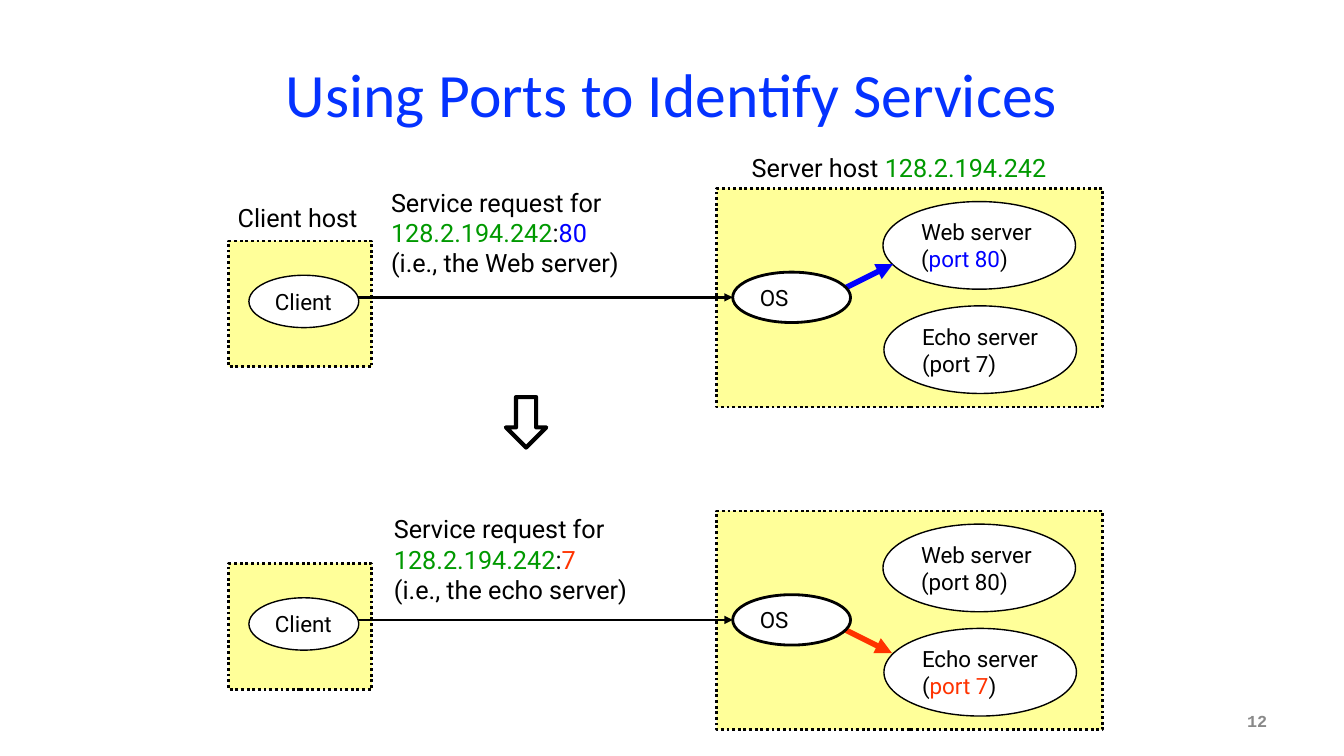
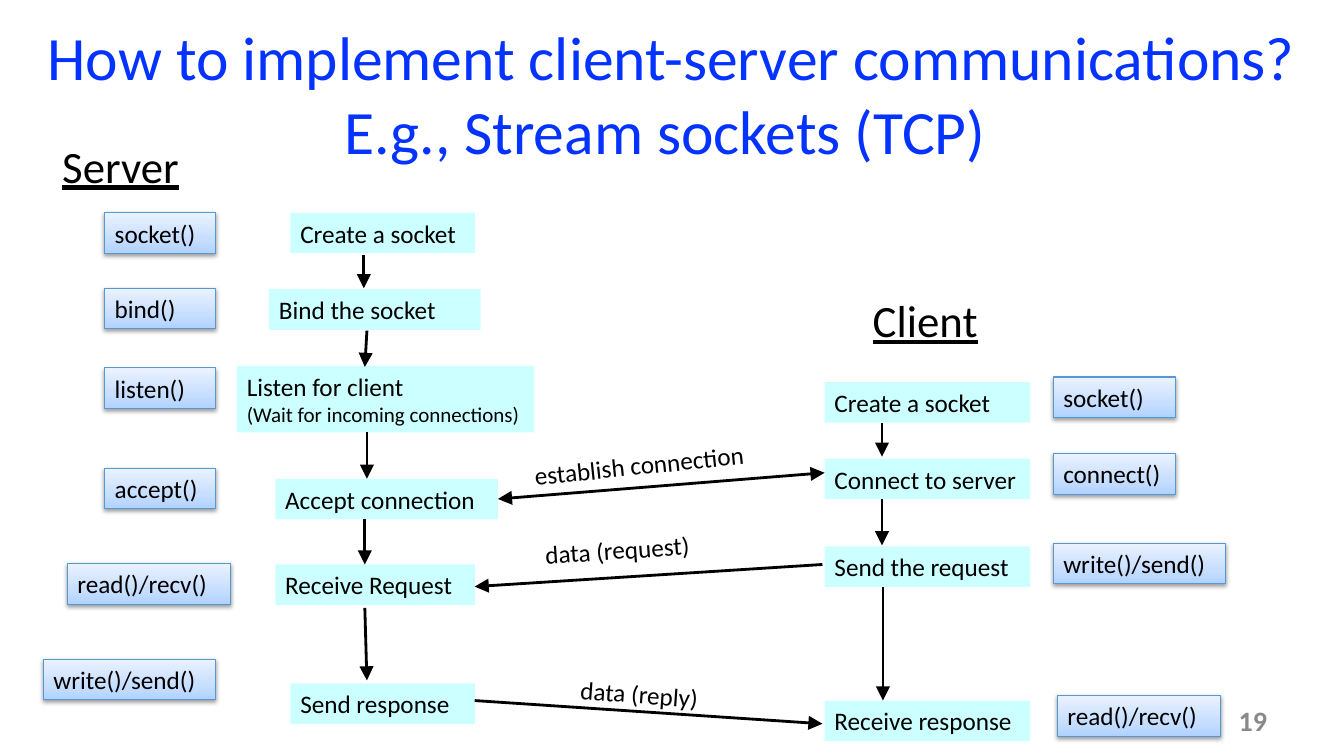
"""Build two slides on ports and stream sockets."""
import pptx
import pptx.dml.color
import pptx.enum.dml
import pptx.enum.shapes
import pptx.enum.text
import pptx.oxml.ns
import pptx.util
from lxml import etree

Pt = pptx.util.Pt
RGBColor = pptx.dml.color.RGBColor
MSO_SHAPE = pptx.enum.shapes.MSO_SHAPE
PP_ALIGN = pptx.enum.text.PP_ALIGN
qn = pptx.oxml.ns.qn

BLACK = RGBColor(0x00, 0x00, 0x00)
WHITE = RGBColor(0xFF, 0xFF, 0xFF)
TITLE_BLUE = RGBColor(0x04, 0x32, 0xFF)
GRAY = RGBColor(0x89, 0x89, 0x89)
YELLOW = RGBColor(0xFF, 0xFF, 0x99)
GREEN = RGBColor(0x00, 0x99, 0x00)
BLUE = RGBColor(0x00, 0x00, 0xFF)
RED = RGBColor(0xFF, 0x33, 0x00)
CYAN = RGBColor(0xCC, 0xFF, 0xFF)
CALL_EDGE = RGBColor(0x56, 0x98, 0xD3)
CALL_STOPS = [
    (0, RGBColor(0xB0, 0xD2, 0xFF)),
    (35000, RGBColor(0xC7, 0xDE, 0xFF)),
    (100000, RGBColor(0xEA, 0xF2, 0xFF)),
]


def add_box(slide, kind, at, paras=(), size=18, font="Calibri", fill=None, line=None, width=1):
    """Add a shape, or a text box if kind is None; a paragraph is a string or (text, colour) runs."""
    at = [Pt(v) for v in at]
    if kind is None:
        sp = slide.shapes.add_textbox(*at)
    else:
        sp = slide.shapes.add_shape(kind, *at)
        sp.shadow.inherit = False
        if fill is None:
            sp.fill.background()
        else:
            sp.fill.solid()
            sp.fill.fore_color.rgb = fill
        if line is None:
            sp.line.fill.background()
        else:
            sp.line.color.rgb = line
            sp.line.width = Pt(width)
    tf = sp.text_frame
    tf.word_wrap = False
    tf.vertical_anchor = pptx.enum.text.MSO_ANCHOR.MIDDLE
    for i, para in enumerate(paras):
        p = tf.add_paragraph() if i else tf.paragraphs[0]
        p.alignment = PP_ALIGN.LEFT
        for text, color in [(para, BLACK)] if isinstance(para, str) else para:
            r = p.add_run()
            r.text = text
            r.font.size = Pt(size)
            r.font.name = font
            r.font.color.rgb = color
    return sp


def add_arrow(slide, x1, y1, x2, y2, color=BLACK, width=2, head="med", ends=("tailEnd",)):
    """Add a straight arrow with the given arrowheads."""
    cx = slide.shapes.add_connector(
        pptx.enum.shapes.MSO_CONNECTOR.STRAIGHT, Pt(x1), Pt(y1), Pt(x2), Pt(y2))
    cx.line.color.rgb = color
    cx.line.width = Pt(width)
    ln = cx.line._get_or_add_ln()
    for end in ends:
        etree.SubElement(ln, qn("a:" + end), type="triangle", w=head, len=head)
    etree.SubElement(cx._element.spPr, qn("a:effectLst"))


prs = pptx.Presentation()
prs.slide_width = Pt(960)
prs.slide_height = Pt(540)

slides = []
for title, left, number, font, size in [
    (["Using Ports to Identify Services"], 48, "12", "Courier New", 12),
    (["How to implement client-server communications?", "E.g., Stream sockets (TCP)\t"],
     0, "19", "Calibri", 20),
]:
    slide = prs.slides.add_slide(prs.slide_layouts[6])
    sp = add_box(slide, None, (left, 21.6, 960 - 2 * left, 90),
                 [[(text, TITLE_BLUE)] for text in title], 44)
    sp.text_frame.word_wrap = True
    for p in sp.text_frame.paragraphs:
        p.alignment = PP_ALIGN.CENTER
    sp = add_box(slide, None, (688.3, 500.4, 223.9, 28.8), [[(number, GRAY)]], size, font)
    p = sp.text_frame.paragraphs[0]
    p.alignment = PP_ALIGN.RIGHT
    p.runs[0].font.bold = True
    slides.append(slide)
ports, sockets = slides

ADDRESS = "128.2.194.242"
for dy, text_at, port, color, service, web, echo, to_service in [
    (0, (272.2, 129.6), "80", BLUE, "Web", [("(", BLACK), ("port 80", BLUE), (")", BLACK)],
     "(port 7)", (601.9, 206.6, 637.9, 188.6)),
    (230.4, (274.3, 362.9), "7", RED, "echo", "(port 80)",
     [("(", BLACK), ("port 7", RED), (")", BLACK)], (601.2, 448.6, 637.2, 466.6)),
]:
    for at in [(163.4, 172.1 + dy, 102.2, 90), (511.9, 134.6 + dy, 275.8, 156.2)]:
        sp = add_box(ports, MSO_SHAPE.RECTANGLE, at, fill=YELLOW, line=BLACK, width=2)
        sp.line.dash_style = pptx.enum.dml.MSO_LINE.ROUND_DOT
    add_box(ports, None, (*text_at, 231, 72.7),
            ["Service request for", [(ADDRESS, GREEN), (":", BLACK), (port, color)],
             f"(i.e., the {service} server)"], font="Roboto")
    add_arrow(ports, 253.4, 212.4 + dy, 523.4, 212.4 + dy)
    for at, paras, width in [
        ((630.7, 144 + dy, 137.5, 62.6), ["Web server", web], 1),
        ((631.4, 218.5 + dy, 137.5, 62.6), ["Echo server", echo], 1),
        ((177.8, 196.6 + dy, 78.5, 37.4), ["Client"], 1),
    ]:
        add_box(ports, MSO_SHAPE.OVAL, at, paras, 16, "Roboto", WHITE, BLACK, width)
    add_arrow(ports, *to_service, color, 4)
    add_box(ports, MSO_SHAPE.OVAL, (523.4, 194.4 + dy, 84.2, 36), ["OS"], 16, "Roboto",
            WHITE, BLACK, 2)

add_box(ports, None, (162.7, 141.1, 100, 28.8), ["Client host"], font="Roboto")
add_box(ports, None, (529.9, 105.1, 233.3, 28.8),
        [[("Server host ", BLACK), (ADDRESS, GREEN)]], font="Roboto")
add_box(ports, MSO_SHAPE.DOWN_ARROW, (361.4, 283.7, 28.8, 36), line=BLACK, width=3)

for text, x, y, w in [("Server", 37.4, 95, 98.6), ("Client", 616.3, 205.2, 90)]:
    sp = add_box(sockets, None, (x, y, w, 46), [text], 32)
    sp.text_frame.paragraphs[0].runs[0].font.underline = True

for text, x, y, w in [
    ("Create a socket", 207.4, 151.9, 131.8),
    ("Bind the socket", 192.2, 206.6, 151.2),
    ("Accept connection", 196.6, 342, 159.1),
    ("Receive Request", 196.6, 403.2, 142.6),
    ("Send response", 207.4, 488.2, 131.8),
    ("Create a socket", 589, 272.9, 146.9),
    ("Connect to server", 589, 327.6, 146.9),
    ("Send the request", 589, 390.2, 146.9),
    ("Receive response", 589, 500.4, 146.9),
]:
    add_box(sockets, MSO_SHAPE.RECTANGLE, (x, y, w, 29), [text], fill=CYAN)
sp = add_box(sockets, MSO_SHAPE.RECTANGLE, (169.2, 261.4, 212.4, 47.5),
             ["Listen for client", "(Wait for incoming connections)"], fill=CYAN)
sp.text_frame.paragraphs[1].runs[0].font.size = Pt(15)

for text, x, y, w in [
    ("socket()", 74.9, 151.9, 79.2),
    ("bind()", 74.9, 205.9, 79.2),
    ("listen()", 74.9, 262.8, 79.2),
    ("accept()", 74.9, 334.4, 79.2),
    ("read()/recv()", 48.2, 402.5, 116.6),
    ("write()/send()", 31, 470.9, 123.1),
    ("socket()", 752.4, 269.3, 87.1),
    ("connect()", 752.4, 324, 87.1),
    ("write()/send()", 752.4, 388.1, 123.1),
    ("read()/recv()", 755.3, 496.8, 116.6),
]:
    sp = add_box(sockets, MSO_SHAPE.RECTANGLE, (x, y, w, 29), [text], line=CALL_EDGE, width=0.75)
    sp.fill.gradient()
    sp.fill.gradient_angle = 90
    spPr = sp._element.spPr
    stops = spPr.find(".//" + qn("a:gsLst"))
    for stop in list(stops):
        stops.remove(stop)
    for pos, color in CALL_STOPS:
        stop = etree.SubElement(stops, qn("a:gs"), pos=str(pos))
        etree.SubElement(stop, qn("a:srgbClr"), val=str(color))
    shadow = etree.SubElement(spPr.find(qn("a:effectLst")), qn("a:outerShdw"), blurRad="40000",
                              dist="20000", dir="5400000", rotWithShape="0")
    shade = etree.SubElement(shadow, qn("a:srgbClr"), val="000000")
    etree.SubElement(shade, qn("a:alpha"), val="38000")

for ends in [
    (259.9, 182.2, 259.9, 205.9),
    (262.1, 236.2, 260.6, 262.1),
    (262.1, 308.9, 262.1, 342),
    (260.6, 370.8, 260.6, 403.2),
    (260.6, 434.2, 262.1, 486),
    (630, 302.4, 630, 326.2),
    (630, 356.4, 630, 389.5),
    (630.7, 419, 630.7, 500.4),
    (587.5, 403.2, 339.1, 419),
    (339.1, 500.4, 587.5, 517),
]:
    add_arrow(sockets, *ends, head="lg")
add_arrow(sockets, 589, 337.7, 355.7, 356.4, head="lg", ends=("headEnd", "tailEnd"))

for text, x, y, w, angle in [
    ("establish connection", 374.4, 316.8, 180, -6),
    ("data (request)", 382.3, 378, 119.5, -4),
    ("data (reply)", 407.5, 481, 100, 4.1),
]:
    sp = add_box(sockets, None, (x, y, w, 29), [text])
    sp.rotation = angle

prs.save("out.pptx")
